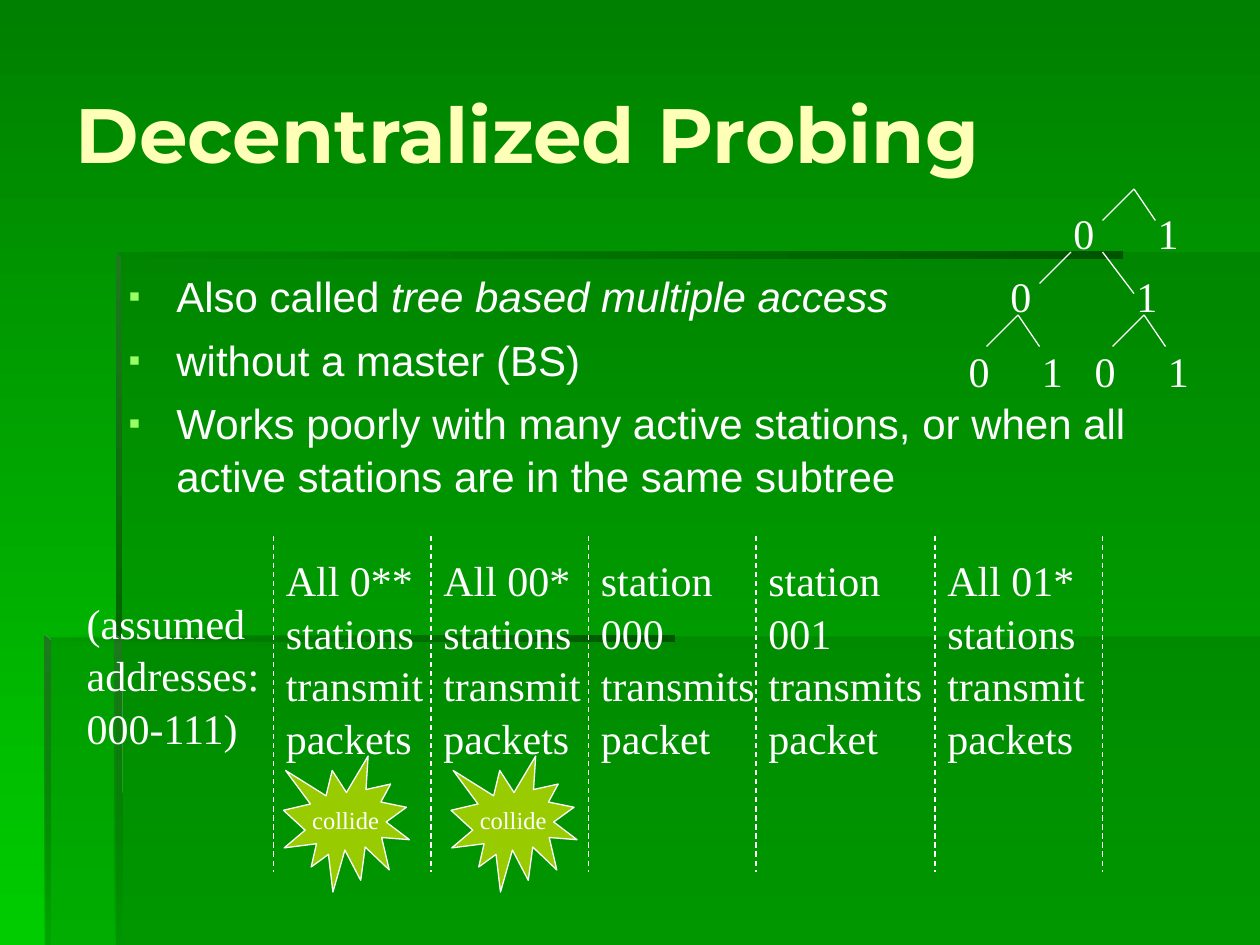
from lxml.etree import SubElement
from pptx import Presentation
from pptx.dml.color import RGBColor
from pptx.enum.dml import MSO_LINE_DASH_STYLE as Dash
from pptx.enum.shapes import MSO_CONNECTOR as Connector, MSO_SHAPE as Shape
from pptx.enum.text import MSO_ANCHOR as Anchor, MSO_AUTO_SIZE as AutoSize, PP_ALIGN as Align
from pptx.oxml.ns import qn
from pptx.util import Inches, Pt

COLORS = {
    "top": "008000", "bottom": "00CC00", "panel": "006600", "edge": "005400",
    "glow": "1F791F", "title": "FFFFB7", "text": "FFFFFF", "bullet": "99FF66",
    "burst": "99CC00",
}
SERIF = "Times New Roman"
LINE_SPACING = 1.05

PANELS = [
    [(0.92, 5.05), (0.92, 7.5), (10, 7.5), (10, 5.05)],
    [(0.94, 5.06), (0.36, 5.06), (0.36, 7.5), (10, 7.5), (10, 2), (0.94, 2)],
]
BARS = [
    ([(0.92, 2), (0.92, 2.05), (8.91, 2.05), (8.91, 2)], "panel", 0, "edge", 100, 0),
    ([(0.92, 2), (0.92, 5.1), (0.97, 5.1), (0.96, 2.04)], "glow", 100, "panel", 100, 270),
    ([(0.91, 7.5), (0.97, 7.5), (0.96, 5.08), (0.91, 5.04)], "glow", 100, "panel", 0, 270),
    ([(0.35, 5.04), (0.35, 5.09), (5.35, 5.09), (5.35, 5.04)], "panel", 0, "edge", 100, 0),
    ([(0.35, 5.04), (0.35, 7.5), (0.4, 7.5), (0.4, 5.09)], "glow", 100, "panel", 10, 270),
]
BULLETS = [
    [("Also called ", False), ("tree based multiple access", True)],
    [("without a master (BS)", False)],
    [("Works poorly with many active stations, or when all active stations "
      "are in the same subtree", False)],
]
SLOT_EDGES = [2.17, 3.42, 4.67, 6, 7.42, 8.75]
SLOTS = [
    ["All 0**", "stations", "transmit", "packets"],
    ["All 00*", "stations", "transmit", "packets"],
    ["station", "000", "transmits", "packet"],
    ["station", "001", "transmits", "packet"],
    ["All 01*", "stations", "transmit", "packets"],
]
TREE_NODES = [
    ("0", 8.42, 1.58), ("1", 9.09, 1.58), ("0", 7.92, 2.08), ("1", 8.92, 2.08),
    ("0", 7.59, 2.67), ("1", 8.17, 2.67), ("0", 8.59, 2.67), ("1", 9.17, 2.67),
]
TREE_BRANCHES = [
    ((9, 1.5), (8.75, 1.75)), ((9, 1.5), (9.17, 1.75)),
    ((8.5, 2), (8.25, 2.25)), ((8.75, 2), (9, 2.33)),
    ((8.08, 2.5), (7.83, 2.75)), ((8.08, 2.5), (8.25, 2.75)),
    ((9.08, 2.5), (8.83, 2.75)), ((9.08, 2.5), (9.25, 2.75)),
]


def rgb(name):
    return RGBColor.from_string(COLORS[name])


def set_alpha(fill_element, percents):
    for color, percent in zip(fill_element.iter(qn("a:srgbClr")), percents):
        if percent < 100:
            SubElement(color, qn("a:alpha"), val=str(percent * 1000))


def set_gradient(fill, start, end, angle):
    fill.gradient()
    fill.gradient_angle = angle
    for stop, name in zip(fill.gradient_stops, (start, end)):
        stop.color.rgb = rgb(name)


def add_outline(page, points):
    corners = [(Inches(x), Inches(y)) for x, y in points]
    builder = page.shapes.build_freeform(*corners[0])
    builder.add_line_segments(corners[1:], close=True)
    outline = builder.convert_to_shape()
    outline.shadow.inherit = False
    outline.line.fill.background()
    return outline


def add_backdrop(page):
    set_gradient(page.background.fill, "top", "bottom", 270)
    for points in PANELS:
        panel = add_outline(page, points)
        panel.fill.solid()
        panel.fill.fore_color.rgb = rgb("panel")
        set_alpha(panel.element.spPr, [30])
    for points, start, start_alpha, end, end_alpha, angle in BARS:
        bar = add_outline(page, points)
        set_gradient(bar.fill, start, end, angle)
        set_alpha(bar.element.spPr, [start_alpha, end_alpha])


def add_span(para, text, size, font, color="text", bold=False, italic=False):
    span = para.add_run()
    span.text = text
    span.font.size = Pt(size)
    span.font.name = font
    span.font.bold = bold
    span.font.italic = italic
    span.font.color.rgb = rgb(color)


def place(box, left, top, width, height):
    box.left, box.top = Inches(left), Inches(top)
    box.width, box.height = Inches(width), Inches(height)
    box.element.getparent().append(box.element)


def fill_title(box):
    place(box, 0.5, 0.27, 9.17, 1.57)
    frame = box.text_frame
    frame.auto_size = AutoSize.NONE
    frame.vertical_anchor = Anchor.MIDDLE
    para = frame.paragraphs[0]
    para.alignment = Align.LEFT
    add_span(para, "Decentralized Probing", 44, "Montserrat", "title", bold=True)


def add_bullet(para):
    properties = para._p.get_or_add_pPr()
    properties.set("marL", str(Inches(0.38)))
    properties.set("indent", str(-Inches(0.38)))
    color = SubElement(properties, qn("a:buClr"))
    SubElement(color, qn("a:srgbClr"), val=COLORS["bullet"])
    SubElement(properties, qn("a:buSzPct"), val="80000")
    SubElement(properties, qn("a:buFont"), typeface="Arial")
    SubElement(properties, qn("a:buChar"), char="▪")


def fill_body(box):
    place(box, 0.92, 2.08, 8.76, 1.87)
    frame = box.text_frame
    frame.auto_size = AutoSize.NONE
    for index, spans in enumerate(BULLETS):
        para = frame.add_paragraph() if index else frame.paragraphs[0]
        add_bullet(para)
        para.space_before = Pt(6 if index else 0)
        para.line_spacing = LINE_SPACING
        for text, italic in spans:
            add_span(para, text, 24, "Arial", italic=italic)


def add_label(page, lines, left, top, width):
    height = 0.1 + 0.4 * len(lines)
    box = page.shapes.add_textbox(Inches(left), Inches(top), Inches(width), Inches(height))
    frame = box.text_frame
    frame.word_wrap = False
    for index, line in enumerate(lines):
        para = frame.add_paragraph() if index else frame.paragraphs[0]
        para.line_spacing = LINE_SPACING
        add_span(para, line, 24, SERIF)


def add_line(page, start, end, dash=None):
    ends = [Inches(value) for value in (*start, *end)]
    line = page.shapes.add_connector(Connector.STRAIGHT, *ends)
    line.line.color.rgb = rgb("text")
    line.line.width = Pt(0.75)
    if dash:
        line.line.dash_style = dash
    SubElement(line.element.spPr, qn("a:effectLst"))


def add_burst(page, left):
    burst = page.shapes.add_shape(
        Shape.EXPLOSION1, Inches(left), Inches(6), Inches(1), Inches(1.08))
    burst.shadow.inherit = False
    burst.fill.solid()
    burst.fill.fore_color.rgb = rgb("burst")
    burst.line.color.rgb = rgb("text")
    burst.line.width = Pt(0.75)
    frame = burst.text_frame
    frame.word_wrap = False
    frame.vertical_anchor = Anchor.MIDDLE
    para = frame.paragraphs[0]
    para.alignment = Align.CENTER
    add_span(para, "collide", 14, SERIF)


def main():
    deck = Presentation()
    deck.slide_width, deck.slide_height = Inches(10), Inches(7.5)
    page = deck.slides.add_slide(deck.slide_layouts[1])
    add_backdrop(page)
    fill_title(page.shapes.title)
    fill_body(page.placeholders[1])
    for left in (2.25, 3.58):
        add_burst(page, left)
    for edge in SLOT_EDGES:
        add_line(page, (edge, 4.25), (edge, 6.92), Dash.DASH)
    add_label(page, ["(assumed", "addresses:", "000-111)"], 0.59, 4.67, 1.57)
    for left, lines in zip(SLOT_EDGES, SLOTS):
        add_label(page, lines, left, 4.33, 1.42 if "transmits" in lines else 1.29)
    for digit, left, top in TREE_NODES:
        add_label(page, [digit], left, top, 0.36)
    for start, end in TREE_BRANCHES:
        add_line(page, start, end)
    deck.save("out.pptx")


if __name__ == "__main__":
    main()
